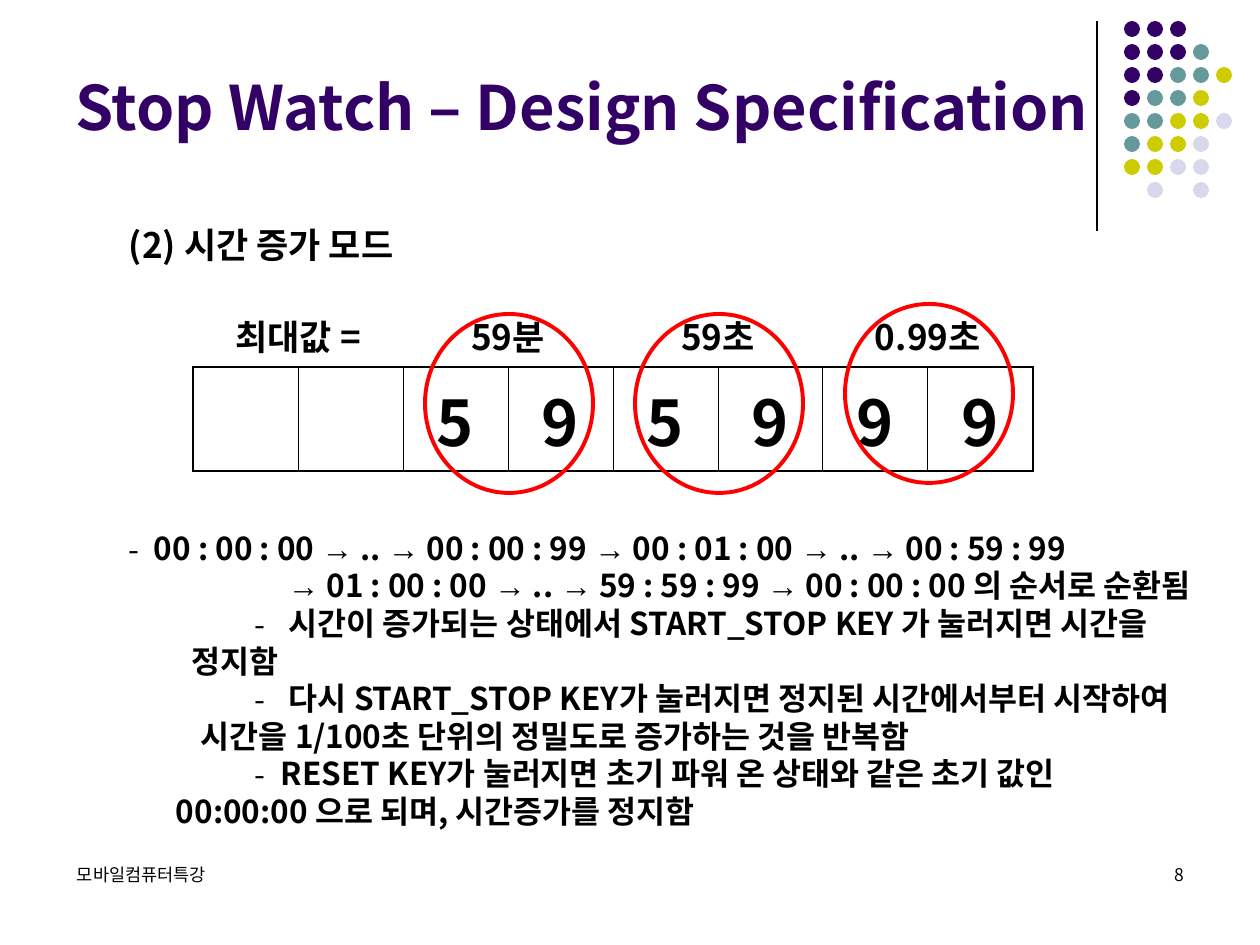
from dataclasses import dataclass

from lxml import etree
from pptx import Presentation
from pptx.dml.color import RGBColor
from pptx.enum.shapes import MSO_CONNECTOR, MSO_SHAPE
from pptx.enum.text import MSO_ANCHOR, MSO_AUTO_SIZE, PP_ALIGN
from pptx.oxml.ns import qn
from pptx.slide import Slide
from pptx.util import Pt

LEFT, MID, RIGHT = PP_ALIGN.LEFT, PP_ALIGN.CENTER, PP_ALIGN.RIGHT
TOP, MIDDLE, BOTTOM = MSO_ANCHOR.TOP, MSO_ANCHOR.MIDDLE, MSO_ANCHOR.BOTTOM
FIXED = MSO_AUTO_SIZE.NONE
OVAL = MSO_SHAPE.OVAL
LINE = MSO_CONNECTOR.STRAIGHT
ARROW = "→"


def px(*nums):
    sizes = [round(n * 914400 / 126) for n in nums]
    return sizes if len(sizes) > 1 else sizes[0]


def color(code):
    return RGBColor.from_string(code)


def write(para, text, font="Noto Sans CJK KR", size=18, bold=True, ink="000000",
          align=LEFT, line=None, start=0, dash=None):
    para.alignment = align
    if line:
        para.line_spacing = Pt(line)
    if start:
        props = para._p.get_or_add_pPr()
        props.set("marL", str(px(start)))
        props.set("indent", str(px(dash - start) if dash is not None else 0))
        if dash is not None:
            etree.SubElement(props, qn("a:buFont"), typeface=font)
            etree.SubElement(props, qn("a:buChar"), char="-")
    for part in text.replace(ARROW, f"|{ARROW}|").split("|"):
        if not part:
            continue
        run = para.add_run()
        run.text = part
        face = "Arial" if part == ARROW else font
        run.font.name = face
        run.font.size, run.font.bold = Pt(size), bold
        run.font.color.rgb = color(ink)
        for tag in ("a:ea", "a:sym"):
            etree.SubElement(run._r.get_or_add_rPr(), qn(tag), typeface=face)


@dataclass
class Deck:
    """Draws styled elements on the current slide."""
    slide: Slide
    ink: str = "000000"
    main: str = "330066"
    ring: str = "FF0000"

    def title(self, text, *box):
        shape = self.slide.shapes.title
        shape.left, shape.top, shape.width, shape.height = px(*box)
        frame = shape.text_frame
        frame.word_wrap, frame.auto_size = True, FIXED
        frame.vertical_anchor = MIDDLE
        write(frame.paragraphs[0], text, size=35, ink=self.main)

    def text(self, rows, *box, **style):
        frame = self.slide.shapes.add_textbox(*px(*box)).text_frame
        frame.word_wrap = True
        frame.margin_left = frame.margin_right = 0
        frame.margin_top = frame.margin_bottom = 0
        for i, (text, place) in enumerate(rows):
            para = frame.add_paragraph() if i else frame.paragraphs[0]
            write(para, text, **style, **place)

    def oval(self, *box, fill=None):
        shape = self.slide.shapes.add_shape(OVAL, *px(*box))
        shape.shadow.inherit = False
        if fill:
            shape.fill.solid()
            shape.fill.fore_color.rgb = color(fill)
            shape.line.fill.background()
        else:
            shape.fill.background()
            shape.line.color.rgb = color(self.ring)
            shape.line.width = Pt(2.25)

    def rule(self, *ends):
        line = self.slide.shapes.add_connector(LINE, *px(*ends))
        line.line.color.rgb = color(self.ink)
        line.line.width = Pt(0.75)
        etree.SubElement(line._element.spPr, qn("a:effectLst"))

    def edges(self, cell, widths):
        cell.fill.background()
        props = cell._tc.get_or_add_tcPr()
        for i, (side, width) in enumerate(zip("LRTB", widths)):
            edge = etree.Element(qn(f"a:ln{side}"), w=str(Pt(width)))
            if width:
                fill = etree.SubElement(edge, qn("a:solidFill"))
                etree.SubElement(fill, qn("a:srgbClr"), val=self.ink)
            else:
                etree.SubElement(edge, qn("a:noFill"))
            props.insert(i, edge)

    def table(self, heads, digits, left, top, wide, highs):
        count = len(digits)
        grid = self.slide.shapes.add_table(
            2, count, *px(left, top, wide * count, sum(highs))).table
        grid.first_row = grid.horz_banding = False
        for row, high in zip(grid.rows, highs):
            row.height = px(high)
        for i, digit in enumerate(digits):
            grid.columns[i].width = px(wide)
            self.edges(grid.cell(0, i), (0, 0, 0, 1.08))
            cell = grid.cell(1, i)
            first = 1.08 if i == 0 else 0.45
            last = 1.08 if i == count - 1 else 0.45
            self.edges(cell, (first, last, 1.08, 1.08))
            if digit.strip():
                write(cell.text_frame.paragraphs[0], digit, size=36, align=MID)
        for i, head in enumerate(heads):
            cell = grid.cell(0, 2 * i)
            cell.merge(grid.cell(0, 2 * i + 1))
            cell.vertical_anchor = BOTTOM
            write(cell.text_frame.paragraphs[0], head, size=20, align=MID)


def main():
    show = Presentation()
    show.slide_width, show.slide_height = px(1260, 945)
    deck = Deck(show.slides.add_slide(show.slide_layouts[5]))

    deck.rule(1097, 21, 1097, 231)
    tints = {"P": deck.main, "T": "669999", "Y": "CCCC00", "L": "D8D8EC"}
    dots = ("PPP", "PPPT", "PPTTY", "PTTY", "TTYYL", "TYYL", "YYLL", ".L.L")
    for row, line in enumerate(dots):
        for col, key in enumerate(line):
            if key in tints:
                deck.oval(1124 + 23 * col, 21 + 23 * row, 16, 16, fill=tints[key])

    deck.title("Stop Watch – Design Specification", 63, 16, 1040, 179)
    deck.text([("(2) 시간 증가 모드", {})], 129, 224, 600, 52, size=20)
    deck.table(("최대값 =", "59분", "59초", "0.99초"), ("", "", *"595999"),
               193, 304, 105, (63, 104))
    for i, top in enumerate((314, 314, 304)):
        deck.oval(425 + 210 * i, top, 168, 179)

    item = {"start": 160, "dash": 126}
    steps = [
        ("00 : 00 : 00 → .. → 00 : 00 : 99 → 00 : 01 : 00 → .. → 00 : 59 : 99",
         {"start": 25, "dash": 0}),
        ("→ 01 : 00 : 00 → .. → 59 : 59 : 99 → 00 : 00 : 00 의 순서로 순환됨",
         {"start": 159}),
        ("시간이 증가되는 상태에서 START_STOP KEY 가 눌러지면 시간을", item),
        ("정지함", {"start": 63}),
        ("다시 START_STOP KEY가 눌러지면 정지된 시간에서부터 시작하여", item),
        ("시간을 1/100초 단위의 정밀도로 증가하는 것을 반복함", {"start": 72}),
        ("RESET KEY가 눌러지면 초기 파워 온 상태와 같은 초기 값인",
         {"start": 152, "dash": 126}),
        ("00:00:00 으로 되며, 시간증가를 정지함", {"start": 47}),
    ]
    deck.text(steps, 129, 529, 1106, 304, line=21.5)

    small = {"size": 10, "bold": False}
    deck.text([("모바일컴퓨터특강", {})], 77, 864, 374, 50, **small)
    deck.text([("8", {})], 916, 864, 268, 50, align=RIGHT, **small)
    show.save("out.pptx")


if __name__ == "__main__":
    main()
